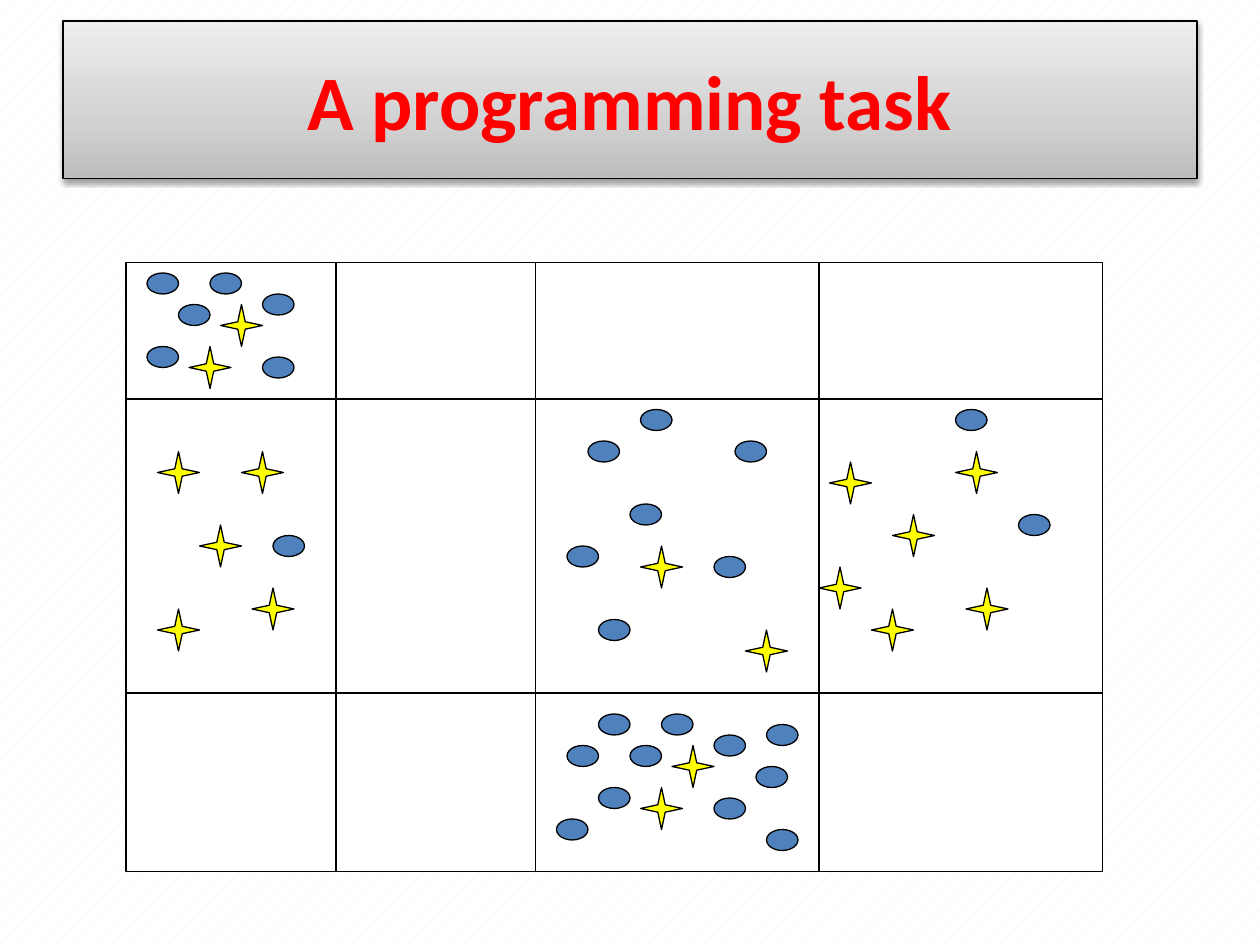
import copy

import pptx
import pptx.dml.color
import pptx.enum.dml
import pptx.enum.shapes
import pptx.enum.text
import pptx.oxml
import pptx.oxml.ns
import pptx.oxml.xmlchemy
import pptx.util

PX = 7620  # EMU in one px, 120 px to the inch
RGB = pptx.dml.color.RGBColor
SHAPE = pptx.enum.shapes.MSO_SHAPE
qn = pptx.oxml.ns.qn

WHITE = RGB(0xFF, 0xFF, 0xFF)
BLACK = RGB(0x00, 0x00, 0x00)
RED = RGB(0xFF, 0x00, 0x00)
BLUE = RGB(0x4F, 0x81, 0xBD)
YELLOW = RGB(0xFF, 0xFF, 0x00)
PALE_GREY = RGB(0xF2, 0xF2, 0xF2)
TITLE_STOPS = [
    (0, RGB(0xBD, 0xBD, 0xBD)),
    (0.35, RGB(0xD1, 0xD1, 0xD1)),
    (1, RGB(0xEE, 0xEE, 0xEE)),
]

LEFT, TOP, RIGHT, BOTTOM = 120, 250, 1050, 830
ROW_LINES = [380, 660]
COLUMN_LINES = [320, 510, 780]

# Left and top of the marks in each filled cell: (dots, stars)
CELLS = {
    "top left": (
        [(170, 290), (140, 330), (140, 260), (200, 260), (250, 280), (250, 340)],
        [(180, 330), (210, 290)],
    ),
    "middle left": (
        [(260, 510)],
        [(150, 430), (190, 500), (230, 430), (150, 580), (240, 560)],
    ),
    "middle centre": (
        [(600, 480), (570, 590), (560, 420), (700, 420), (610, 390), (680, 530),
         (540, 520)],
        [(610, 520), (710, 600)],
    ),
    "middle right": (
        [(910, 390), (970, 490)],
        [(790, 440), (780, 540), (910, 430), (830, 580), (920, 560), (850, 490)],
    ),
    "bottom centre": (
        [(600, 710), (570, 750), (570, 680), (630, 680), (680, 700), (680, 760),
         (730, 790), (730, 690), (720, 730), (530, 780), (540, 710)],
        [(610, 750), (640, 710)],
    ),
}


def px(n):
    return pptx.util.Emu(n * PX)


def set_outline(line):
    line.color.rgb = BLACK
    line.width = pptx.util.Pt(0.75)


def add_box(slide, kind, x, y, w, h, color=None):
    sp = slide.shapes.add_shape(kind, px(x), px(y), px(w), px(h))
    sp.shadow.inherit = False
    if color is not None:
        sp.fill.solid()
        sp.fill.fore_color.rgb = color
    set_outline(sp.line)
    return sp


def add_line(slide, x1, y1, x2, y2):
    line = slide.shapes.add_connector(
        pptx.enum.shapes.MSO_CONNECTOR.STRAIGHT, px(x1), px(y1), px(x2), px(y2))
    set_outline(line.line)
    line._element.spPr.append(pptx.oxml.xmlchemy.OxmlElement("a:effectLst"))


def add_dot(slide, x, y):
    add_box(slide, SHAPE.OVAL, x, y, 30, 20, BLUE)


def add_star(slide, x, y):
    sp = add_box(slide, SHAPE.STAR_4_POINT, x, y, 40, 40, YELLOW)
    sp.adjustments[0] = 0.125


def set_text(sp, text, size, color, bold=False, font="Calibri"):
    tf = sp.text_frame
    tf.word_wrap = True
    tf.vertical_anchor = pptx.enum.text.MSO_ANCHOR.MIDDLE
    p = tf.paragraphs[0]
    p.alignment = pptx.enum.text.PP_ALIGN.CENTER
    r = p.add_run()
    r.text = text
    r.font.name = font
    r.font.size = pptx.util.Pt(size)
    r.font.bold = bold
    r.font.color.rgb = color


def set_gradient(sp, stops):
    """Fill from bottom to top with the given (position, colour) stops."""
    sp.fill.gradient()
    sp.fill.gradient_angle = 90
    first = sp._element.spPr.find(".//" + qn("a:gs"))
    for _ in stops[2:]:
        first.addnext(copy.deepcopy(first))
    for stop, (position, color) in zip(sp.fill.gradient_stops, stops):
        stop.position = position
        stop.color.rgb = color


def add_shadow(sp):
    effects = sp._element.spPr.find(qn("a:effectLst"))
    effects.append(pptx.oxml.parse_xml(
        f'<a:outerShdw {pptx.oxml.ns.nsdecls("a")} blurRad="40000" dist="20000" '
        'dir="5400000" rotWithShape="0"><a:srgbClr val="000000">'
        '<a:alpha val="38000"/></a:srgbClr></a:outerShdw>'))


def set_background(slide):
    fill = slide.background.fill
    fill.patterned()
    fill.pattern = pptx.enum.dml.MSO_PATTERN.PERCENT_10
    fill.fore_color.rgb = PALE_GREY
    fill.back_color.rgb = WHITE


def add_title(slide, text):
    sp = add_box(slide, SHAPE.RECTANGLE, 60, 20, 1080, 150)
    set_gradient(sp, TITLE_STOPS)
    add_shadow(sp)
    set_text(sp, text, size=44, color=RED, bold=True)


def add_grid(slide):
    add_box(slide, SHAPE.RECTANGLE, LEFT, TOP, RIGHT - LEFT, BOTTOM - TOP, WHITE)
    for y in ROW_LINES:
        add_line(slide, LEFT, y, RIGHT, y)
    for x in COLUMN_LINES:
        add_line(slide, x, TOP, x, BOTTOM)


def main():
    prs = pptx.Presentation()
    prs.slide_width = px(1200)
    prs.slide_height = px(900)
    slide = prs.slides.add_slide(prs.slide_layouts[6])
    set_background(slide)
    add_title(slide, "A programming task")
    add_grid(slide)
    for dots, stars in CELLS.values():
        for x, y in dots:
            add_dot(slide, x, y)
        for x, y in stars:
            add_star(slide, x, y)
    prs.save("out.pptx")


if __name__ == "__main__":
    main()
